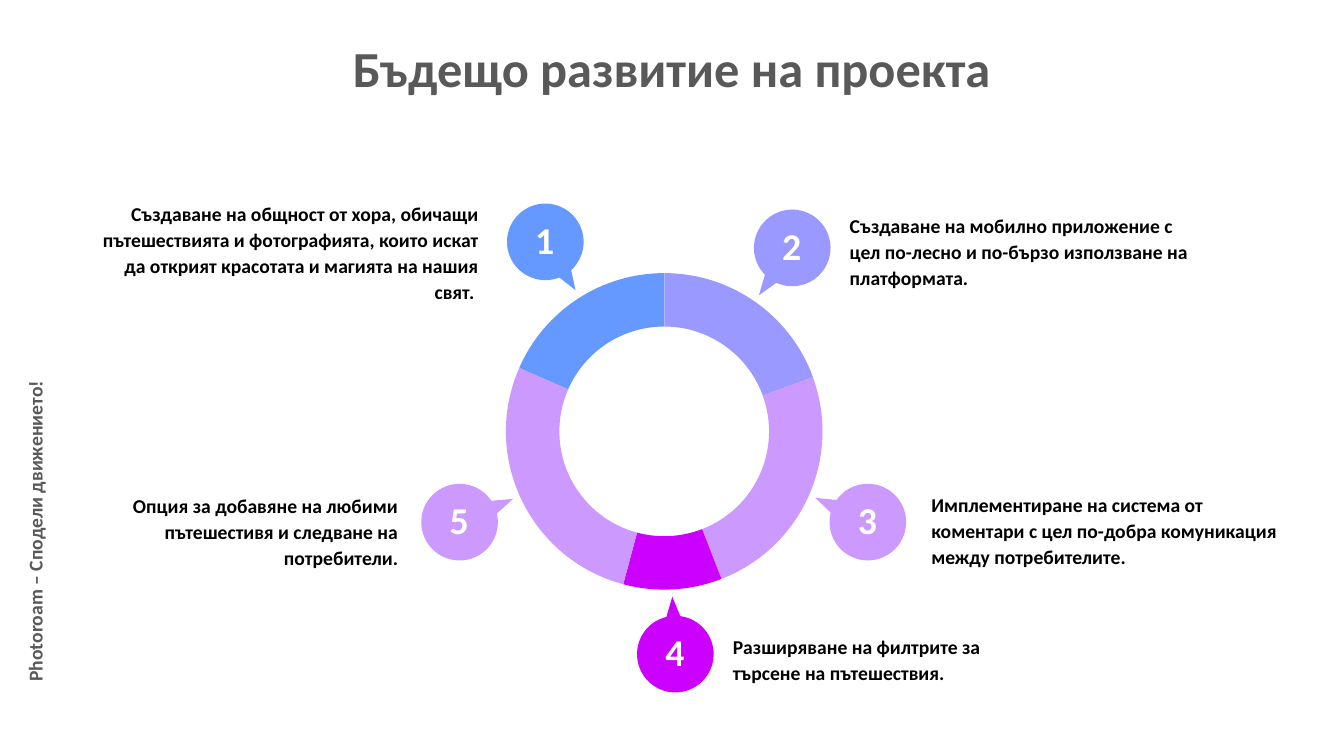
from math import atan2, cos, radians, sin, tan

from lxml import etree
from pptx import Presentation
from pptx.dml.color import RGBColor
from pptx.enum.text import MSO_ANCHOR, MSO_AUTO_SIZE, PP_ALIGN
from pptx.oxml.ns import qn
from pptx.util import Inches, Pt

LEFT, CENTER, RIGHT = PP_ALIGN.LEFT, PP_ALIGN.CENTER, PP_ALIGN.RIGHT
TOP = MSO_ANCHOR.TOP
GROW = MSO_AUTO_SIZE.SHAPE_TO_FIT_TEXT

FONT = "Calibri"
GREY, BLACK, WHITE = "595959", "000000", "FFFFFF"
BLUE, LAVENDER, LILAC, MAGENTA = "6699FF", "9999FF", "CC99FF", "CC00FF"

TITLE = "Бъдещо развитие на проекта"
SLOGAN = "Photoroam – Сподели движението!"

RING_CENTER = (6.59, 4.28)
RING_OUTER, RING_INNER = 1.57, 1.04
BUBBLE_RADIUS = 0.38
TAIL_HALF_ANGLE = radians(10.5)

SEGMENTS = [
    (0, 70, LAVENDER),
    (293.6, 360, BLUE),
    (70, 158.8, LILAC),
    (158.8, 195, MAGENTA),
    (195, 293.6, LILAC),
]

STEPS = [
    ("Създаване на общност от хора, обичащи пътешествията и фотографията, "
     "които искат да открият красотата и магията на нашия свят. ",
     BLUE, (5.41, 2.4), (5.71, 2.88), (0.8, 1.92, 4.07, 0.9), RIGHT),
    ("Създаване на мобилно приложение с цел по-лесно и по-бързо "
     "използване на платформата.",
     LAVENDER, (7.86, 2.46), (7.53, 2.93), (8.31, 2.04, 3.65, 0.89), LEFT),
    ("Имплементиране на система от коментари с цел по-добра комуникация "
     "между потребителите.",
     LILAC, (8.61, 5.18), (8.09, 4.94), (9.12, 4.81, 3.74, 0.89), LEFT),
    ("Разширяване на филтрите за търсене на пътешествия.",
     MAGENTA, (6.7, 6.49), (6.67, 5.92), (7.15, 6.22, 2.84, 0.64), LEFT),
    ("Опция за добавяне на любими пътешестивя и следване на потребители.",
     LILAC, (4.56, 5.18), (5.09, 4.95), (0.55, 4.82, 3.52, 0.9), RIGHT),
]


def rgb(color):
    return RGBColor.from_string(color)


def on_circle(center, radius, angle):
    return center[0] + radius * cos(angle), center[1] + radius * sin(angle)


def arc(center, radius, start, end, pieces=1):
    step = (end - start) / pieces
    reach = radius * 4 / 3 * tan(step / 4)
    points = []
    for i in range(pieces):
        a, b = start + i * step, start + (i + 1) * step
        (ax, ay), (bx, by) = (on_circle(center, radius, t) for t in (a, b))
        points += [(ax - reach * sin(a), ay + reach * cos(a)),
                   (bx + reach * sin(b), by - reach * cos(b)),
                   (bx, by)]
    return points


def straight(point):
    return [point] * 3


def add_outline(slide, start, curves, color):
    points = [(Inches(x), Inches(y)) for x, y in [start] + curves]
    builder = slide.shapes.build_freeform(*points[0])
    builder.add_line_segments(points[1:], close=True)
    sp = builder.convert_to_shape()
    lines = list(sp.element.iter(qn("a:lnTo")))[:len(curves)]
    for i in range(0, len(lines), 3):
        curve = etree.Element(qn("a:cubicBezTo"))
        lines[i].addprevious(curve)
        for line in lines[i:i + 3]:
            curve.append(line[0])
            line.getparent().remove(line)
    sp.shadow.inherit = False
    sp.fill.solid()
    sp.fill.fore_color.rgb = rgb(color)
    sp.line.fill.background()


def write(sp, text, size, color, align, wrap=True):
    tf = sp.text_frame
    tf.word_wrap = wrap
    tf.auto_size = GROW
    tf.vertical_anchor = TOP
    p = tf.paragraphs[0]
    p.text = text
    p.alignment = align
    p.font.name = FONT
    p.font.size = Pt(size)
    p.font.bold = True
    p.font.color.rgb = rgb(color)


def add_text(slide, box, *style, **options):
    sp = slide.shapes.add_textbox(*map(Inches, box))
    write(sp, *style, **options)
    return sp


def add_segment(slide, start, end, color):
    start, end = radians(start - 90), radians(end - 90)
    curves = arc(RING_CENTER, RING_OUTER, start, end)
    curves += straight(on_circle(RING_CENTER, RING_INNER, end))
    curves += arc(RING_CENTER, RING_INNER, end, start)
    add_outline(slide, on_circle(RING_CENTER, RING_OUTER, start), curves, color)


def add_bubble(slide, color, center, tip):
    angle = atan2(tip[1] - center[1], tip[0] - center[0])
    start = angle + TAIL_HALF_ANGLE
    end = angle + radians(360) - TAIL_HALF_ANGLE
    curves = arc(center, BUBBLE_RADIUS, start, end, pieces=4) + straight(tip)
    add_outline(slide, on_circle(center, BUBBLE_RADIUS, start), curves, color)


def add_number(slide, number, center):
    box = (center[0] - 0.2, center[1] - 0.3, 0.39, 0.56)
    add_text(slide, box, str(number), 27, WHITE, CENTER, wrap=False)


def add_description(slide, text, box, align):
    tf = add_text(slide, box, text, 14, BLACK, align).text_frame
    tf.margin_left = tf.margin_right = Inches(0.12)
    tf.margin_top = tf.margin_bottom = Inches(0.06)
    tf.paragraphs[0].line_spacing = 1.1


def main():
    prs = Presentation()
    prs.slide_width, prs.slide_height = Inches(40 / 3), Inches(7.5)
    slide = prs.slides.add_slide(prs.slide_layouts[5])

    title = slide.shapes.title
    title.left, title.top = Inches(2.4), Inches(0.32)
    title.width, title.height = Inches(8.53), Inches(0.71)
    write(title, TITLE, 36, GREY, CENTER)

    for segment in SEGMENTS:
        add_segment(slide, *segment)
    for number, (text, color, center, tip, box, align) in enumerate(STEPS, 1):
        add_bubble(slide, color, center, tip)
        add_number(slide, number, center)
        add_description(slide, text, box, align)

    slogan = add_text(slide, (-1.24, 5.1, 3.18, 0.34), SLOGAN, 14, GREY, LEFT,
                      wrap=False)
    slogan.rotation = 270

    prs.save("out.pptx")


if __name__ == "__main__":
    main()
